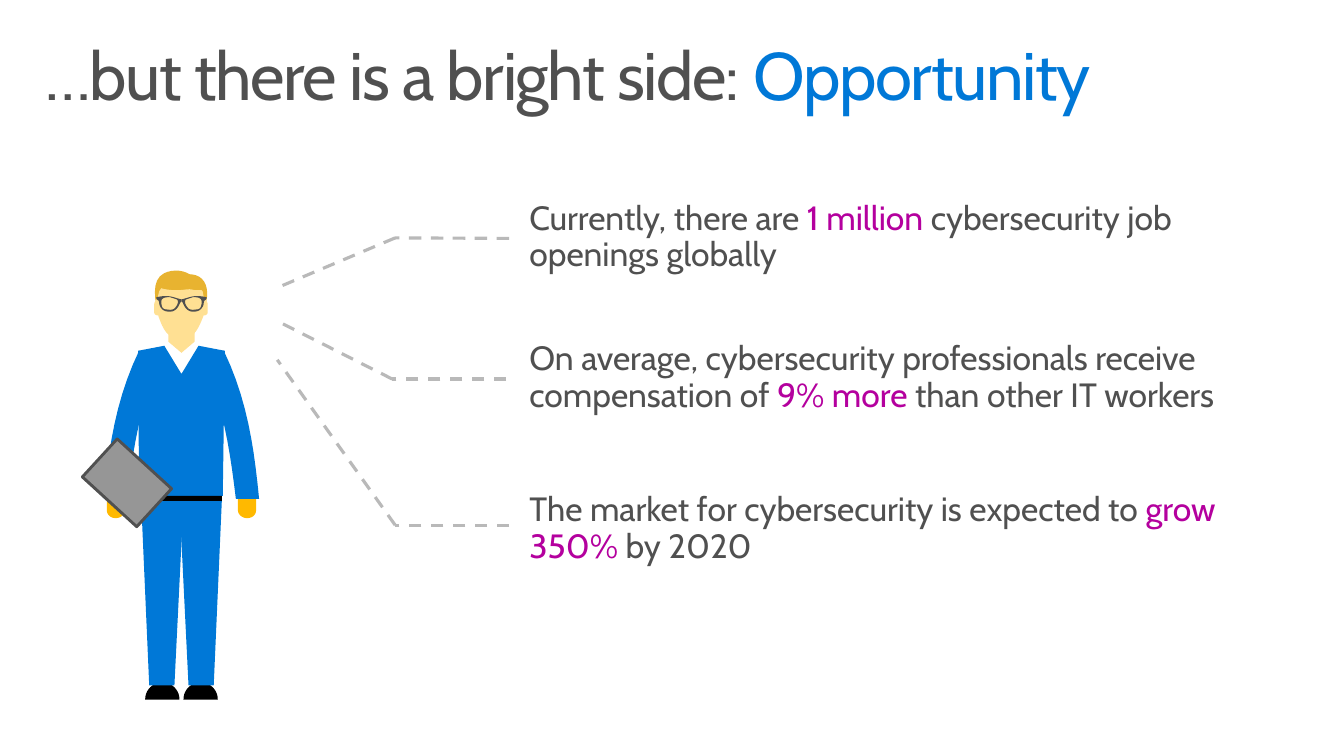
from lxml import etree
from pptx import Presentation
from pptx import util as u
from pptx.dml.color import RGBColor
from pptx.enum import dml, shapes, text
from pptx.oxml.ns import qn

PX = 9144  # one px is a hundredth of an inch
HUES = {
    "grey": "505050", "blue": "0078D7", "pink": "B4009E", "dash": "B9B9B9",
    "skin": "FFE093", "hair": "E8B330", "hand": "FFB900", "pad": "969696",
    "black": "000000", "white": "FFFFFF",
}
RGB = {name: RGBColor.from_string(hue) for name, hue in HUES.items()}

deck = Presentation()
deck.slide_width, deck.slide_height = 1333 * PX, 750 * PX
slide = deck.slides.add_slide(deck.slide_layouts[5])
items = slide.shapes


def write(frame, size, parts, pads, auto):
    """Fill a text frame with (words, hue) runs."""
    form = {
        "margin_left": pads[0] * PX, "margin_right": pads[0] * PX,
        "margin_top": pads[1] * PX, "margin_bottom": pads[1] * PX,
        "word_wrap": True, "auto_size": auto,
        "vertical_anchor": text.MSO_ANCHOR.TOP,
    }
    for key, value in form.items():
        setattr(frame, key, value)
    para = frame.paragraphs[0]
    para.alignment, para.line_spacing = text.PP_ALIGN.LEFT, 0.9
    for words, hue in parts:
        run = para.add_run()
        run.text = words
        run.font.name, run.font.size = "Cabin", u.Pt(size)
        run.font.color.rgb = RGB[hue]
    return para


def draw(hue, *rings, flip=False):
    """Fill closed rings; a pair is a corner, six numbers are a Bézier curve."""
    pen = None
    for ring in rings:
        dots = [ring[0]]
        for step in ring[1:]:
            if len(step) == 2:
                dots.append(step)
                continue
            ends = [dots[-1], step[:2], step[2:4], step[4:]]
            for t in (i / 10 for i in range(1, 11)):
                mix = ((1 - t) ** 3, 3 * t * (1 - t) ** 2, 3 * t * t * (1 - t), t ** 3)
                dots.append(tuple(sum(m * e[k] for m, e in zip(mix, ends)) for k in (0, 1)))
        dots = [((360 - x if flip else x) * PX, y * PX) for x, y in dots]
        if pen:
            pen.move_to(*dots[0])
        else:
            pen = items.build_freeform(*dots[0], scale=1.0)
        pen.add_line_segments(dots[1:], close=True)
    shape = pen.convert_to_shape()
    shape.shadow.inherit = False
    shape.fill.solid()
    shape.fill.fore_color.rgb = RGB[hue]
    shape.line.fill.background()


title = items.title
title.left, title.top, title.width, title.height = (n * PX for n in (29, 32, 1275, 98))
para = write(title.text_frame, 48,
             [("…but there is a bright side: ", "grey"), ("Opportunity", "blue")],
             (16, 10), text.MSO_AUTO_SIZE.NONE)
for run in para.runs:
    run.font._element.set("spc", "-100")

# The figure is symmetric about x = 180
hand = [(106, 495), (106, 506), (106, 511, 110, 514, 115, 514),
        (119, 514, 124, 511, 124, 506), (124, 495)]
leg = [(173, 680), (148, 680), (140, 497), (182, 497)]
shoe = [(161, 677), (152, 677, 144, 684, 144, 694), (178, 694),
        (178, 684, 170, 677, 161, 677)]
arm = [(160, 354), (152, 352, 145, 350, 138, 348), (115, 396, 108, 443, 103, 495),
       (126, 495), (132, 445, 139, 400, 160, 354)]
rim = [(180, 297), (178, 297, 174, 295, 168, 294), (163, 293, 155, 295, 155, 295),
       (155, 296), (156, 297, 156, 298, 157, 298), (158, 299, 158, 302, 158, 302),
       (160, 308, 164, 310, 171, 309), (177, 307, 178, 301, 179, 300), (180, 299)]
lens = [(174, 305), (173, 307, 170, 308, 165, 307), (161, 307, 160, 304, 160, 299),
        (160, 294, 169, 295, 169, 295), (172, 296, 172, 296, 175, 297),
        (178, 298, 176, 303, 174, 305)]

draw("white", [(163, 343), (167, 339), (193, 339), (197, 343), (188, 373),
               (176, 375), (165, 361)])
draw("hair", [(202, 308), (192, 334, 187, 333, 175, 329), (162, 325, 156, 310, 161, 295),
              (166, 280, 182, 269, 194, 273), (207, 277, 208, 293, 202, 308)])
draw("hair", [(197, 281), (205, 293, 199, 321, 189, 327), (179, 332, 171, 337, 163, 325),
              (156, 312, 146, 279, 163, 271), (174, 266, 189, 268, 197, 281)])
draw("skin", [(193, 339), (180, 350), (167, 339), (167, 319), (193, 319)])
for hue, limb in [("hand", hand), ("black", shoe), ("blue", leg), ("blue", arm)]:
    for flip in (False, True):
        draw(hue, limb, flip=flip)
draw("blue", [(197, 343), (180, 371), (163, 343), (137, 348), (138, 492),
              (221, 492), (223, 348)])
draw("skin", [(203, 297), (202, 297), (202, 294), (201, 289), (200, 288), (196, 288),
              (192, 288, 190, 287, 188, 287), (185, 287, 180, 288, 175, 288),
              (169, 288, 163, 287, 160, 286), (158, 289), (157, 293), (157, 297),
              (156, 297), (155, 297, 153, 300, 153, 302), (153, 310),
              (153, 312, 155, 313, 157, 313), (157, 313, 163, 333, 170, 333), (189, 333),
              (195, 333, 202, 313, 202, 313), (204, 313, 206, 312, 206, 310), (206, 302),
              (206, 300, 205, 298, 203, 297)])
for flip in (False, True):
    draw("grey", rim, lens, flip=flip)

RECT, ROUND = shapes.MSO_SHAPE.RECTANGLE, shapes.MSO_SHAPE.ROUNDED_RECTANGLE
for kind, hue, place, turn in [
    (RECT, "black", (138, 492, 82, 5), 0),
    (ROUND, "grey", (99, 441, 54, 76), 312.5),
    (RECT, "pad", (102, 444, 48, 70), 312.5),
]:
    block = items.add_shape(kind, *(n * PX for n in place))
    block.shadow.inherit = False
    block.fill.solid()
    block.fill.fore_color.rgb = RGB[hue]
    block.line.fill.background()
    block.rotation = turn
    if kind == ROUND:
        block.adjustments[0] = 0.03

# Each fact: top, height, runs, then the dashed path from text to figure
facts = [
    (184, 105, [("Currently, there are ", "grey"), ("1 million ", "pink"),
                ("cybersecurity job openings globally", "grey")],
     [(505, 236), (392, 236), (276, 285)]),
    (323, 141, [("On average, cybersecurity professionals receive compensation of ", "grey"),
                ("9% more ", "pink"), ("than other IT workers", "grey")],
     [(502, 376), (389, 376), (276, 319)]),
    (473, 105, [("The market for cybersecurity is expected to ", "grey"),
                ("grow 350%", "pink"), (" by 2020", "grey")],
     [(505, 521), (392, 521), (275, 357)]),
]
for top, high, parts, route in facts:
    box = items.add_textbox(505 * PX, top * PX, 738 * PX, high * PX)
    para = write(box.text_frame, 24, parts, (20, 16), text.MSO_AUTO_SIZE.SHAPE_TO_FIT_TEXT)
    para.space_after = u.Pt(6)
    for start, end in zip(route, route[1:]):
        line = items.add_connector(shapes.MSO_CONNECTOR.STRAIGHT,
                                   *(n * PX for n in start + end))
        line.line.color.rgb = RGB["dash"]
        line.line.width = u.Pt(2.25)
        line.line.dash_style = dml.MSO_LINE.DASH
        etree.SubElement(line._element.spPr, qn("a:effectLst"))
        if start == (505, top + high // 2):
            line.begin_connect(box, 1)

deck.save("out.pptx")
